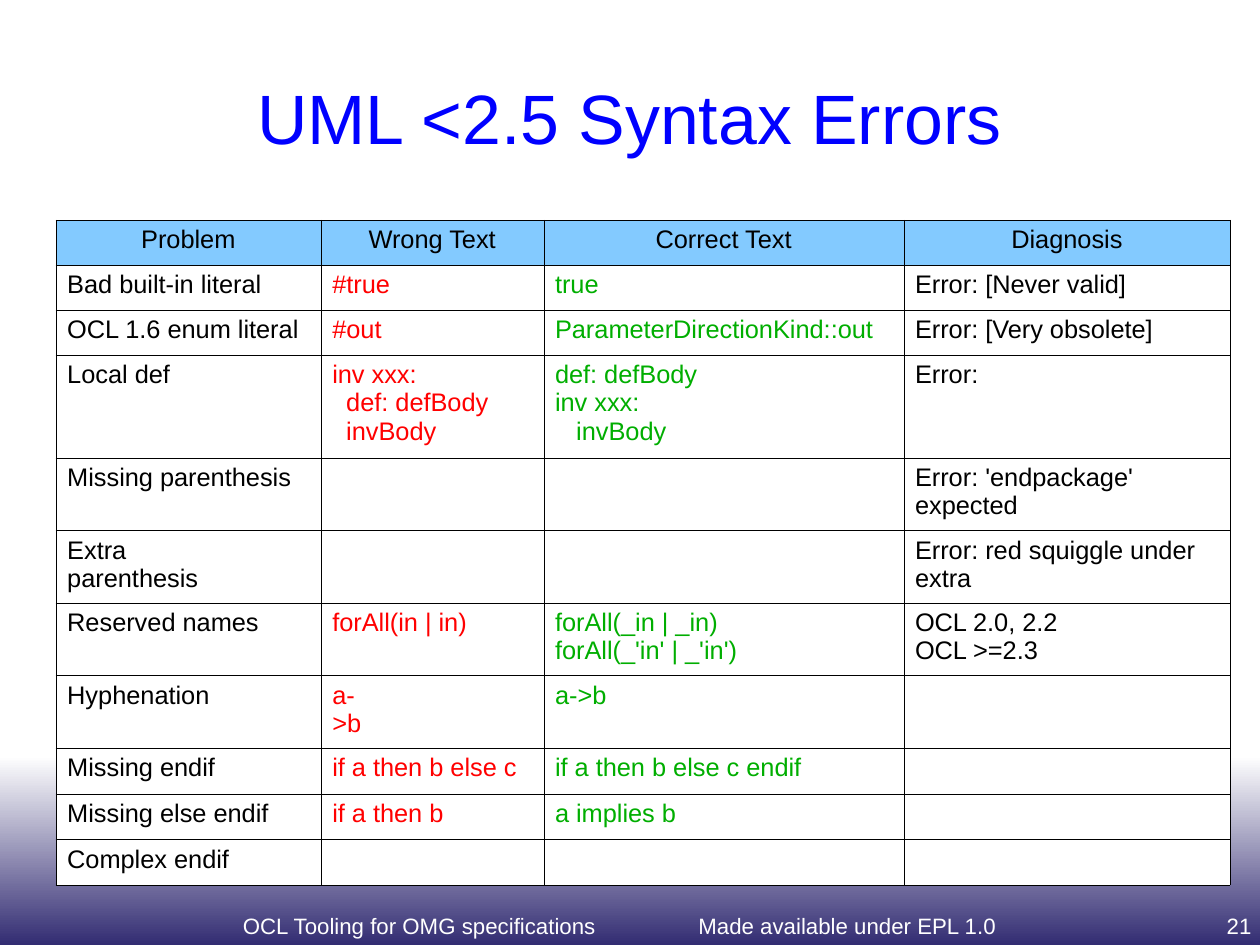
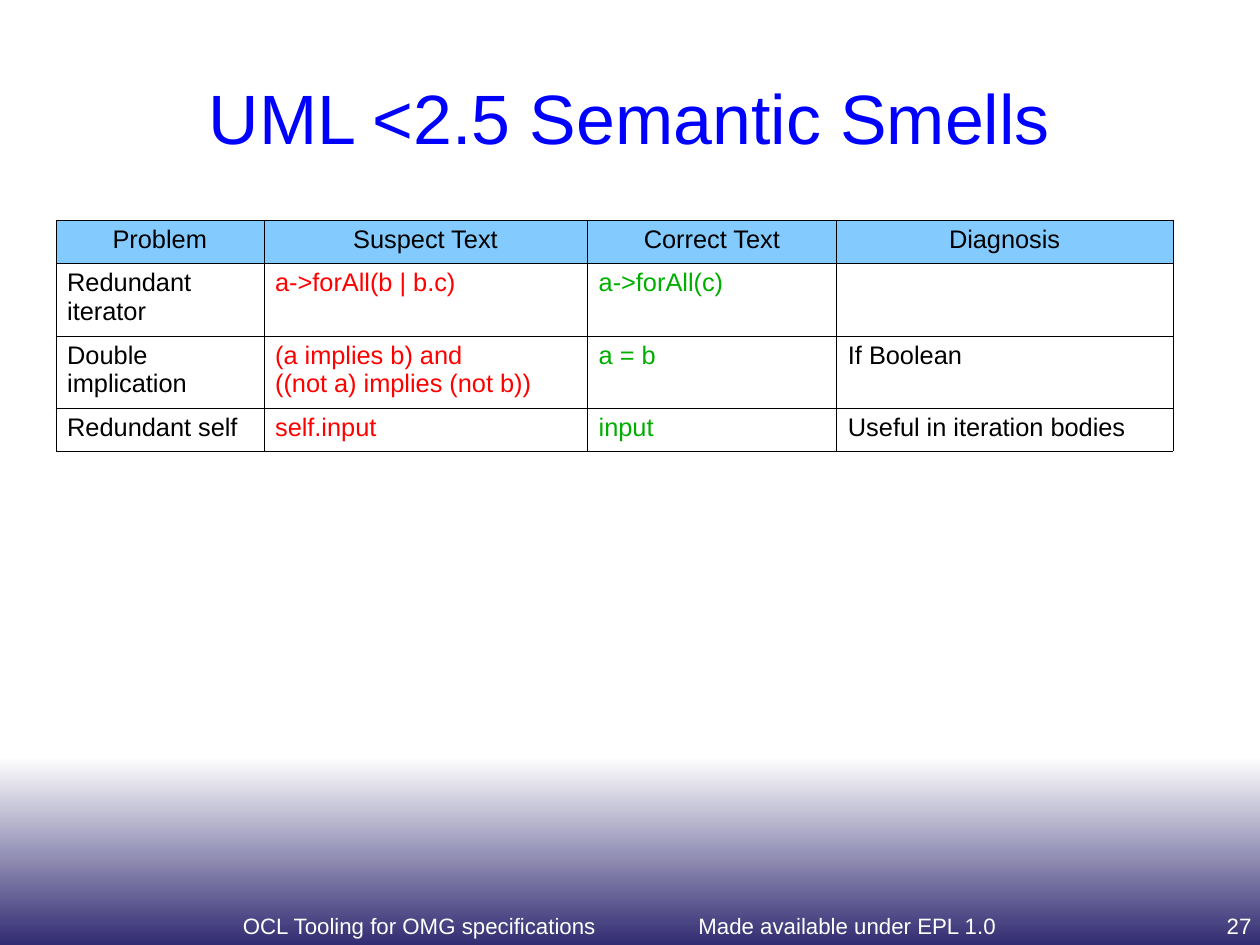
from dataclasses import dataclass

from lxml.etree import SubElement
from pptx import Presentation
from pptx.dml.color import RGBColor
from pptx.enum.text import MSO_ANCHOR, PP_ALIGN
from pptx.oxml.ns import qn
from pptx.util import Cm, Pt


@dataclass(frozen=True)
class Theme:
    font: str = "Arial"
    title_size: float = 44
    table_size: float = 16
    footer_size: float = 14
    title: str = "0000FF"
    text: str = "000000"
    wrong: str = "FF0000"
    correct: str = "00AE00"
    header_fill: str = "83CAFF"
    white: str = "FFFFFF"
    band: str = "322C72"
    border_width: float = 0.06


THEME = Theme()
SLIDE_SIZE = (28, 21)
TITLE_BOX = (1.4, 0.84, 25.2, 3.5)
TABLE_ORIGIN = (1.24, 4.89)
FOOTER_BOX = (0, 20.27, 28, 0.72)


@dataclass(frozen=True)
class Column:
    heading: str
    width: float
    color: str = THEME.text
    indent: float = 0  # for lines that start with a tab


# Each row: height, then one text per column; a new line starts a paragraph
SYNTAX_COLUMNS = [
    Column("Problem", 5.89),
    Column("Wrong Text", 4.95, THEME.wrong, 0.31),
    Column("Correct Text", 8, THEME.correct, 0.47),
    Column("Diagnosis", 7.26),
]
SYNTAX_ROWS = [
    (1, "Bad built-in literal", "#true", "true", "Error: [Never valid]"),
    (1, "OCL 1.6 enum literal", "#out", "ParameterDirectionKind::out",
     "Error: [Very obsolete]"),
    (2.29, "Local def", "inv xxx:\n\tdef: defBody\n\tinvBody",
     "def: defBody\ninv xxx:\n\tinvBody", "Error:"),
    (1.61, "Missing parenthesis", "", "", "Error: 'endpackage' expected"),
    (1.61, "Extra\nparenthesis", "", "", "Error: red squiggle under extra"),
    (1.61, "Reserved names", "forAll(in | in)",
     "forAll(_in | _in)\nforAll(_'in' | _'in')", "OCL 2.0, 2.2\nOCL >=2.3"),
    (1.61, "Hyphenation", "a-\n>b", "a->b", ""),
    (1.01, "Missing endif", "if a then b else c", "if a then b else c endif", ""),
    (1.01, "Missing else endif", "if a then b", "a implies b", ""),
    (1.01, "Complex endif", "", "", ""),
]
SMELL_COLUMNS = [
    Column("Problem", 4.62),
    Column("Suspect Text", 7.19, THEME.wrong),
    Column("Correct Text", 5.54, THEME.correct),
    Column("Diagnosis", 7.47),
]
SMELL_ROWS = [
    (1.61, "Redundant iterator", "a->forAll(b | b.c)", "a->forAll(c)", ""),
    (1.61, "Double implication",
     "(a implies b) and\n((not a) implies (not b))", "a = b", "If Boolean"),
    (0.96, "Redundant self", "self.input", "input", "Useful in iteration bodies"),
]


def format_paragraph(paragraph, size, color, alignment):
    paragraph.alignment = alignment
    for run in paragraph.runs:
        run.font.name = THEME.font
        run.font.size = Pt(size)
        run.font.color.rgb = RGBColor.from_string(color)


def add_text(slide, box, text, size, color, alignment, anchor=MSO_ANCHOR.TOP):
    shape = slide.shapes.add_textbox(*map(Cm, box))
    frame = shape.text_frame
    frame.word_wrap = True
    frame.vertical_anchor = anchor
    frame.margin_left = frame.margin_right = 0
    frame.margin_top = frame.margin_bottom = 0
    frame.text = text
    format_paragraph(frame.paragraphs[0], size, color, alignment)


def add_background(slide):
    fill = slide.background.fill
    fill.gradient()
    fill.gradient_angle = 270
    stops = ((0.8, THEME.white), (1, THEME.band))
    for stop, (position, color) in zip(fill.gradient_stops, stops):
        stop.position = position
        stop.color.rgb = RGBColor.from_string(color)


def add_footer(slide, box, number):
    left, top, width, height = box
    parts = [
        (5.13, 8.38, "OCL Tooling for OMG specifications", PP_ALIGN.CENTER),
        (15.52, 7, "Made available under EPL 1.0", PP_ALIGN.LEFT),
        (width - 1.36, 1.17, str(number), PP_ALIGN.RIGHT),
    ]
    for offset, part_width, text, alignment in parts:
        add_text(slide, (left + offset, top, part_width, height), text,
                 THEME.footer_size, THEME.white, alignment)


def add_borders(cell):
    properties = cell._tc.get_or_add_tcPr()
    for index, side in enumerate(("lnL", "lnR", "lnT", "lnB")):
        line = SubElement(properties, qn(f"a:{side}"), w=str(Pt(THEME.border_width)))
        fill = SubElement(line, qn("a:solidFill"))
        SubElement(fill, qn("a:srgbClr"), val=THEME.text)
        properties.insert(index, line)  # borders come before the fill


def fill_cell(cell, text, color, fill, alignment, indent):
    cell.fill.solid()
    cell.fill.fore_color.rgb = RGBColor.from_string(fill)
    add_borders(cell)
    lines = text.split("\n")
    cell.text_frame.text = "\n".join(line.lstrip("\t") for line in lines)
    for paragraph, line in zip(cell.text_frame.paragraphs, lines):
        format_paragraph(paragraph, THEME.table_size, color, alignment)
        if line.startswith("\t"):
            paragraph._p.get_or_add_pPr().set("marL", str(Cm(indent)))


def add_problem_table(slide, origin, columns, rows, header_height):
    header = (header_height, *(column.heading for column in columns))
    all_rows = [header, *rows]
    width = sum(column.width for column in columns)
    height = sum(row[0] for row in all_rows)
    table = slide.shapes.add_table(
        len(all_rows), len(columns), *map(Cm, (*origin, width, height))).table
    table.first_row = table.horz_banding = False
    for table_column, column in zip(table.columns, columns):
        table_column.width = Cm(column.width)
    for row_index, (row_height, *texts) in enumerate(all_rows):
        table.rows[row_index].height = Cm(row_height)
        for column_index, (column, text) in enumerate(zip(columns, texts)):
            if row_index == 0:
                style = (THEME.text, THEME.header_fill, PP_ALIGN.CENTER)
            else:
                style = (column.color, THEME.white, PP_ALIGN.LEFT)
            fill_cell(table.cell(row_index, column_index), text, *style,
                      column.indent)


def add_problem_slide(presentation, title, number, columns, rows, header_height):
    slide = presentation.slides.add_slide(presentation.slide_layouts[6])
    add_background(slide)
    add_text(slide, TITLE_BOX, title, THEME.title_size, THEME.title,
             PP_ALIGN.CENTER, MSO_ANCHOR.MIDDLE)
    add_problem_table(slide, TABLE_ORIGIN, columns, rows, header_height)
    add_footer(slide, FOOTER_BOX, number)


def main():
    presentation = Presentation()
    presentation.slide_width, presentation.slide_height = map(Cm, SLIDE_SIZE)
    add_problem_slide(presentation, "UML <2.5 Syntax Errors", 21,
                      SYNTAX_COLUMNS, SYNTAX_ROWS, 1)
    add_problem_slide(presentation, "UML <2.5 Semantic Smells", 27,
                      SMELL_COLUMNS, SMELL_ROWS, 0.96)
    presentation.save("out.pptx")


if __name__ == "__main__":
    main()
